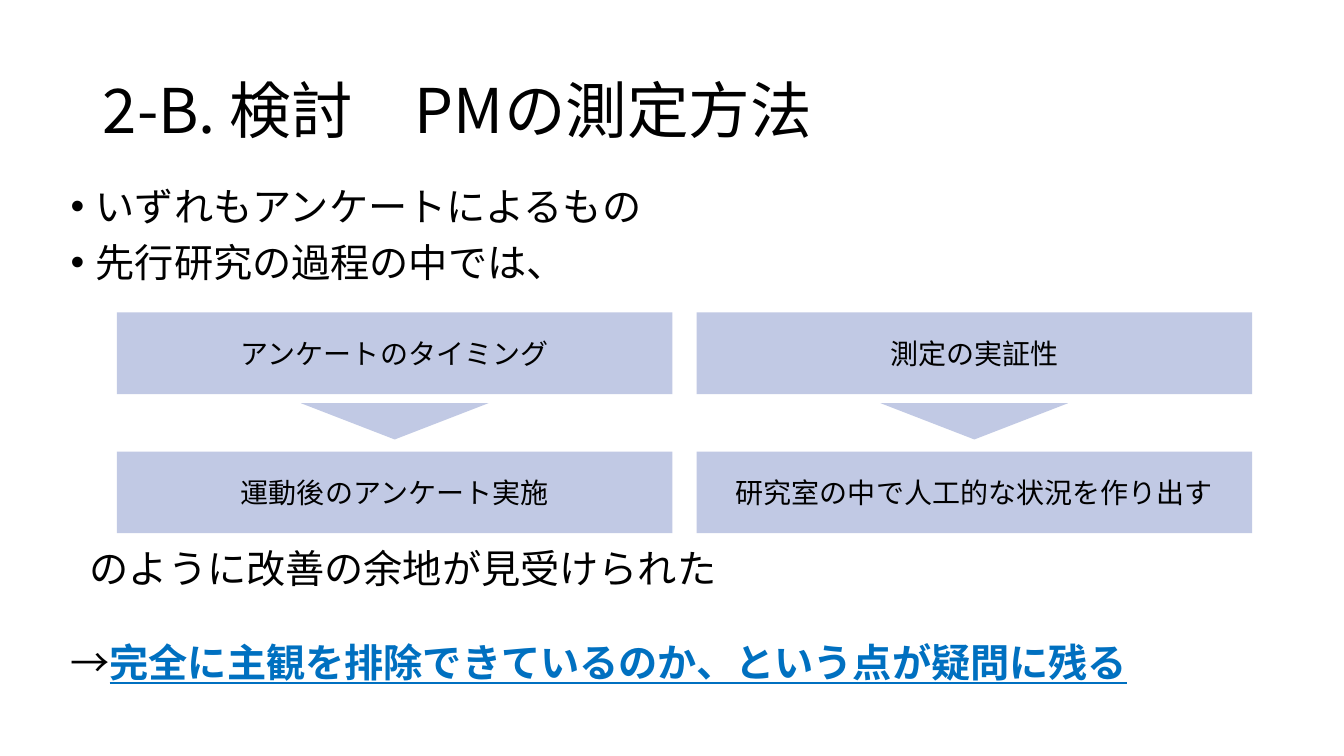
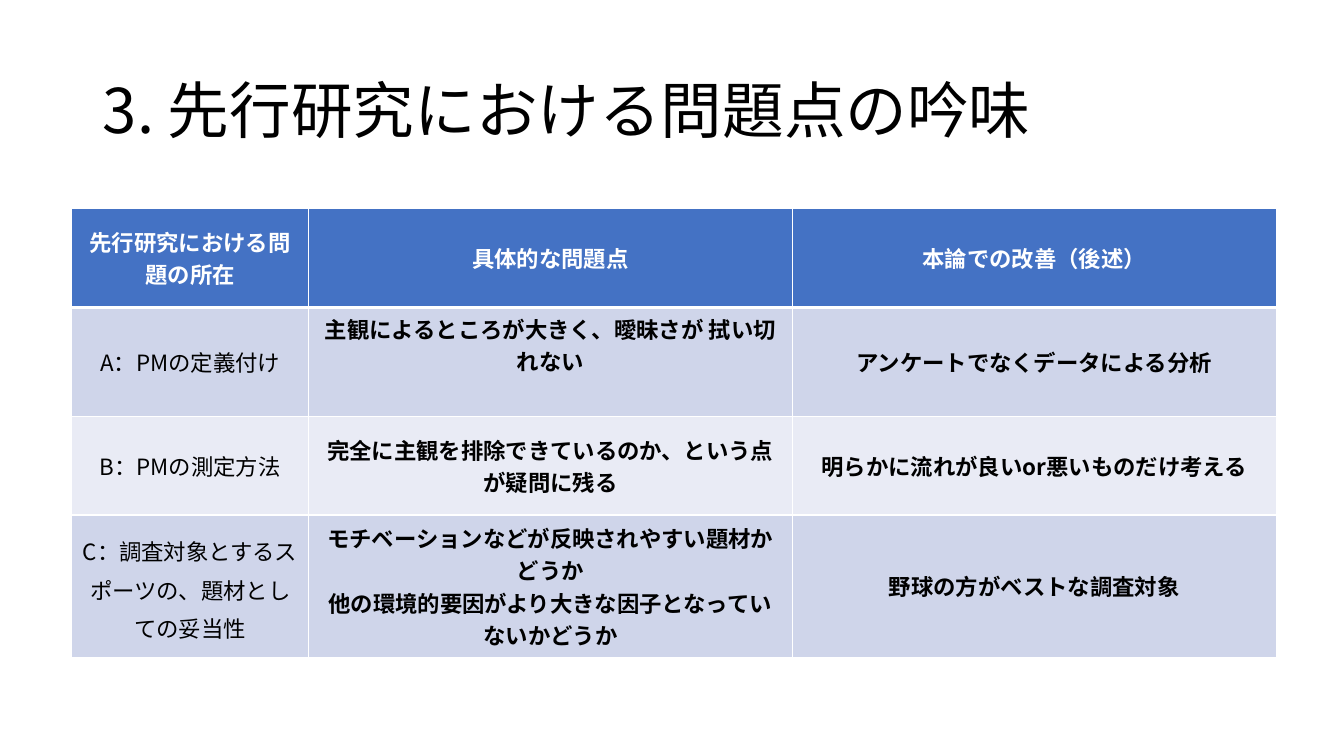
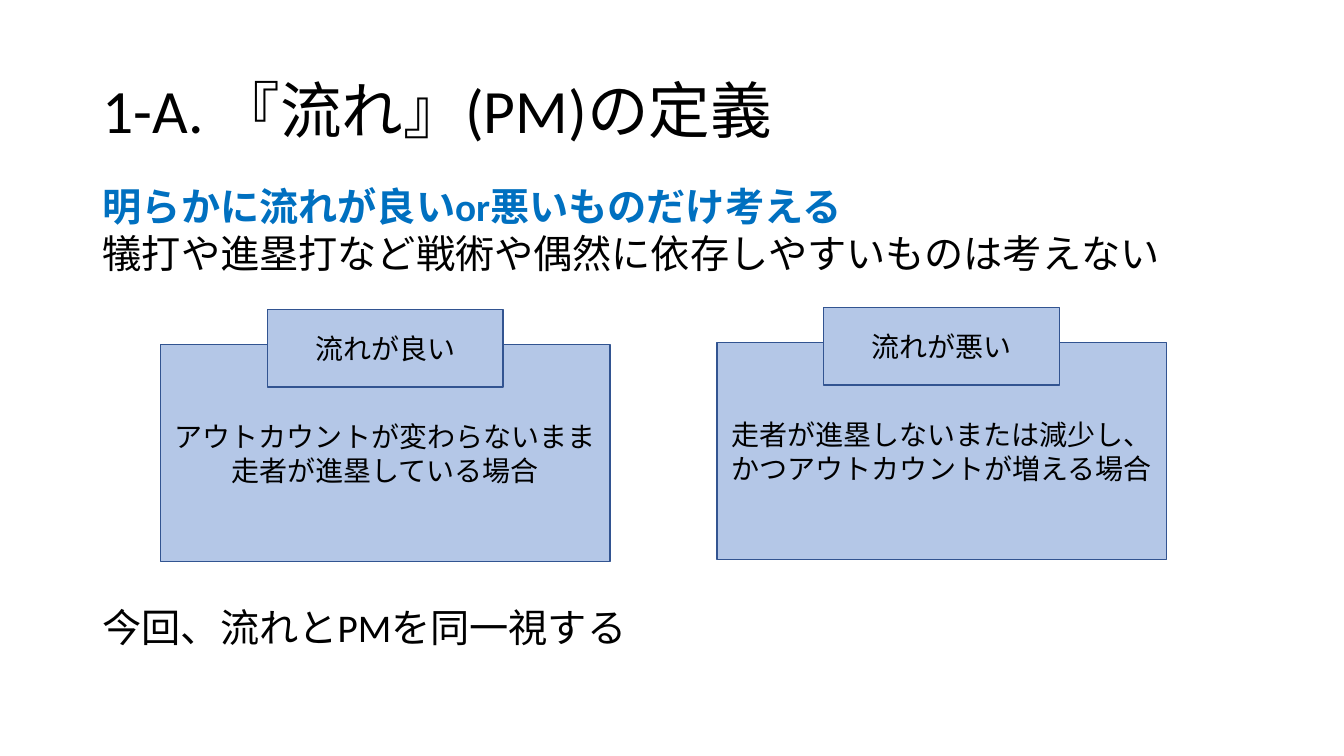
from dataclasses import dataclass

import pptx
import pptx.dml.color
import pptx.enum.shapes
import pptx.enum.text
import pptx.oxml
import pptx.oxml.ns
import pptx.util

SHAPE = pptx.enum.shapes.MSO_SHAPE
ALIGN = pptx.enum.text.PP_ALIGN
ANCHOR = pptx.enum.text.MSO_ANCHOR
WIDE, HIGH = pptx.util.Inches(13.33), pptx.util.Inches(7.5)
Pt = pptx.util.Pt


@dataclass(frozen=True)
class Theme:
    gothic: str = "Noto Sans CJK JP"
    latin: str = "Calibri"
    ink: str = "000000"
    white: str = "FFFFFF"
    accent: str = "0070C0"
    step: str = "C1C9E4"
    panel: str = "B4C7E7"
    edge: str = "325491"
    head: str = "4472C4"
    bands: tuple = ("CFD5EA", "E9EBF5")
    title: int = 44
    body: int = 28
    box: int = 20
    cell: int = 16


THEME = Theme()


def across(share):
    return round(WIDE * share / 100)


def down(share):
    return round(HIGH * share / 100)


def area(left, top, wide, high):
    """Turn percentages of the slide into a position and a size."""
    return across(left), down(top), across(wide), down(high)


def apply(target, values):
    for name, value in values.items():
        setattr(target, name, value)


def color(code):
    return pptx.dml.color.RGBColor.from_string(code)


def style(run, size, font, ink=THEME.ink, bold=False, underline=False):
    apply(run.font, {"size": Pt(size), "name": font,
                     "bold": bold, "underline": underline})
    run.font.color.rgb = color(ink)
    east = pptx.oxml.parse_xml(
        f'<a:ea {pptx.oxml.ns.nsdecls("a")} typeface="{font}"/>')
    run._r.get_or_add_rPr().append(east)


def write(frame, lines, size, font, align=ALIGN.LEFT, space=1.0, before=0,
          **look):
    """Fill a frame; a line is a text or a list of (text, look) runs."""
    for index, line in enumerate(lines):
        para = frame.paragraphs[0] if index == 0 else frame.add_paragraph()
        apply(para, {"alignment": align, "line_spacing": space,
                     "space_before": Pt(before), "space_after": Pt(0)})
        for text, extra in [(line, {})] if isinstance(line, str) else line:
            run = para.add_run()
            run.text = text
            style(run, size, font, **{**look, **extra})


def settle(frame, anchor):
    apply(frame, {"word_wrap": True, "vertical_anchor": anchor,
                  "auto_size": pptx.enum.text.MSO_AUTO_SIZE.NONE})


def hold(shape, place, anchor):
    """Move a placeholder and return its text frame."""
    apply(shape, dict(zip(("left", "top", "width", "height"), place)))
    settle(shape.text_frame, anchor)
    return shape.text_frame


def indent(para, margin=0, bullet=False):
    props = para._p.get_or_add_pPr()
    wide = pptx.util.Inches(margin)
    props.set("marL", str(wide))
    props.set("indent", str(-wide if bullet else 0))
    mark = 'buChar char="•"' if bullet else "buNone"
    props.append(pptx.oxml.parse_xml(
        f'<a:{mark} {pptx.oxml.ns.nsdecls("a")}/>'))


def start(deck, layout, title, font):
    slide = deck.slides.add_slide(deck.slide_layouts[layout])
    frame = hold(slide.shapes.title, area(6.9, 5.33, 86.27, 19.33),
                 ANCHOR.MIDDLE)
    write(frame, [title], THEME.title, font, space=0.9)
    return slide


def block(slide, kind, place, fill, lines=(), font=THEME.gothic, edge=None):
    shape = slide.shapes.add_shape(kind, *place)
    shape.shadow.inherit = False
    shape.fill.solid()
    shape.fill.fore_color.rgb = color(fill)
    if edge:
        shape.line.color.rgb = color(edge)
        shape.line.width = Pt(1)
    else:
        shape.line.fill.background()
    settle(shape.text_frame, ANCHOR.MIDDLE)
    write(shape.text_frame, lines, THEME.box, font, ALIGN.CENTER)
    return shape


def border(cell, widths):
    """Draw white borders, given in points for left, right, top, bottom."""
    props = cell._tc.get_or_add_tcPr()
    for index, (side, wide) in enumerate(zip("LRTB", widths)):
        props.insert(index, pptx.oxml.parse_xml(
            f'<a:ln{side} {pptx.oxml.ns.nsdecls("a")} w="{Pt(wide)}">'
            f'<a:solidFill><a:srgbClr val="{THEME.white}"/></a:solidFill>'
            f'</a:ln{side}>'))


def grid(slide, left, top, cols, rows, texts):
    place = area(left, top, sum(cols), sum(rows))
    table = slide.shapes.add_table(len(rows), len(cols), *place).table
    for col, wide in zip(table.columns, cols):
        col.width = across(wide)
    for row, high in zip(table.rows, rows):
        row.height = down(high)
    for r, line in enumerate(texts):
        head = r == 0
        for c, text in enumerate(line):
            cell = table.cell(r, c)
            cell.fill.solid()
            cell.fill.fore_color.rgb = color(
                THEME.head if head else THEME.bands[(r - 1) % 2])
            border(cell, (1, 1, 3 if r == 1 else 1, 3 if head else 1))
            cell.vertical_anchor = ANCHOR.MIDDLE
            write(cell.text_frame, text.split("\n"), THEME.cell, THEME.gothic,
                  ALIGN.CENTER, bold=head or c > 0,
                  ink=THEME.white if head else THEME.ink)
    return table


def method(deck):
    slide = start(deck, 1, "2-B. 検討　PMの測定方法", THEME.gothic)
    frame = hold(slide.placeholders[1], area(4.5, 24.1, 86.27, 75.9),
                 ANCHOR.TOP)
    point = {"ink": THEME.accent, "bold": True, "underline": True}
    write(frame, [
        "いずれもアンケートによるもの",
        "先行研究の過程の中では、",
        "のように改善の余地が見受けられた",
        [("→", {}),
         ("完全に主観を排除できているのか、という点が疑問に残る", point)],
    ], THEME.body, THEME.gothic, space=0.9)
    layout = [(0, 0.25, True), (10, 0.25, True),
              (188, 0.19, False), (37, 0, False)]
    for para, (before, margin, bullet) in zip(frame.paragraphs, layout):
        para.space_before = Pt(before)
        indent(para, margin, bullet)

    flows = [("アンケートのタイミング", "運動後のアンケート実施"),
             ("測定の実証性", "研究室の中で人工的な状況を作り出す")]
    wide, tip = 41.33, 13.95
    for col, flow in enumerate(flows):
        left = 8.7 + 43.13 * col
        for row, text in enumerate(flow):
            block(slide, SHAPE.RECTANGLE,
                  area(left, 41.33 + 18.4 * row, wide, 10.8),
                  THEME.step, [text])
        arrow = block(slide, SHAPE.ISOSCELES_TRIANGLE,
                      area(left + (wide - tip) / 2, 53.33, tip, 4.8),
                      THEME.step)
        arrow.rotation = 180


def issues(deck):
    slide = start(deck, 5, "3. 先行研究における問題点の吟味", THEME.gothic)
    table = grid(slide, 5.33, 27.6, (17.63, 36, 36),
                 (13.07, 14.4, 13.07, 18.8), [
        ("先行研究における問題の所在", "具体的な問題点",
         "本論での改善（後述）"),
        ("A：PMの定義付け",
         "主観によるところが大きく、曖昧さが 拭い切れない",
         "アンケートでなくデータによる分析"),
        ("B：PMの測定方法",
         "完全に主観を排除できているのか、という点が疑問に残る",
         "明らかに流れが良いor悪いものだけ考える"),
        ("C：調査対象とするスポーツの、題材としての妥当性",
         "モチベーションなどが反映されやすい題材かどうか\n"
         "他の環境的要因がより大きな因子となっていないかどうか",
         "野球の方がベストな調査対象"),
    ])
    table.cell(1, 1).vertical_anchor = ANCHOR.TOP
    apply(table.cell(3, 0).text_frame.paragraphs[0],
          {"line_spacing": 1.2, "space_before": Pt(5)})


def define(deck):
    font = THEME.latin
    slide = start(deck, 1, "1-A. 『流れ』(PM)の定義", font)
    frame = hold(slide.placeholders[1], area(6.9, 23.47, 87.1, 66.53),
                 ANCHOR.TOP)
    write(frame, [
        [("明らかに流れが良いor悪いものだけ考える",
          {"ink": THEME.accent, "bold": True})],
        "犠打や進塁打など戦術や偶然に依存しやすいものは考えない",
    ], THEME.body, font)
    for para in frame.paragraphs:
        indent(para)

    cases = [
        (45.6, "流れが良い",
         ["アウトカウントが変わらないまま走者が進塁している場合"]),
        (45.33, "流れが悪い",
         ["走者が進塁しないまたは減少し、",
          "かつアウトカウントが増える場合"]),
    ]
    wide, tag = 33.46, 17.55
    for col, (top, name, lines) in enumerate(cases):
        left = 11.93 + 41.41 * col
        block(slide, SHAPE.RECTANGLE, area(left, top, wide, 28.67),
              THEME.panel, lines, font, THEME.edge)
        block(slide, SHAPE.RECTANGLE,
              area(left + (wide - tag) / 2, top - 4.67, tag, 10.27),
              THEME.panel, [name], font, THEME.edge)

    note = slide.shapes.add_textbox(*area(6.9, 79.2, 40.89, 7.6)).text_frame
    settle(note, ANCHOR.TOP)
    write(note, ["今回、流れとPMを同一視する"], THEME.body, font)


def main():
    deck = pptx.Presentation()
    apply(deck, {"slide_width": WIDE, "slide_height": HIGH})
    for build in (method, issues, define):
        build(deck)
    deck.save("out.pptx")


if __name__ == "__main__":
    main()
